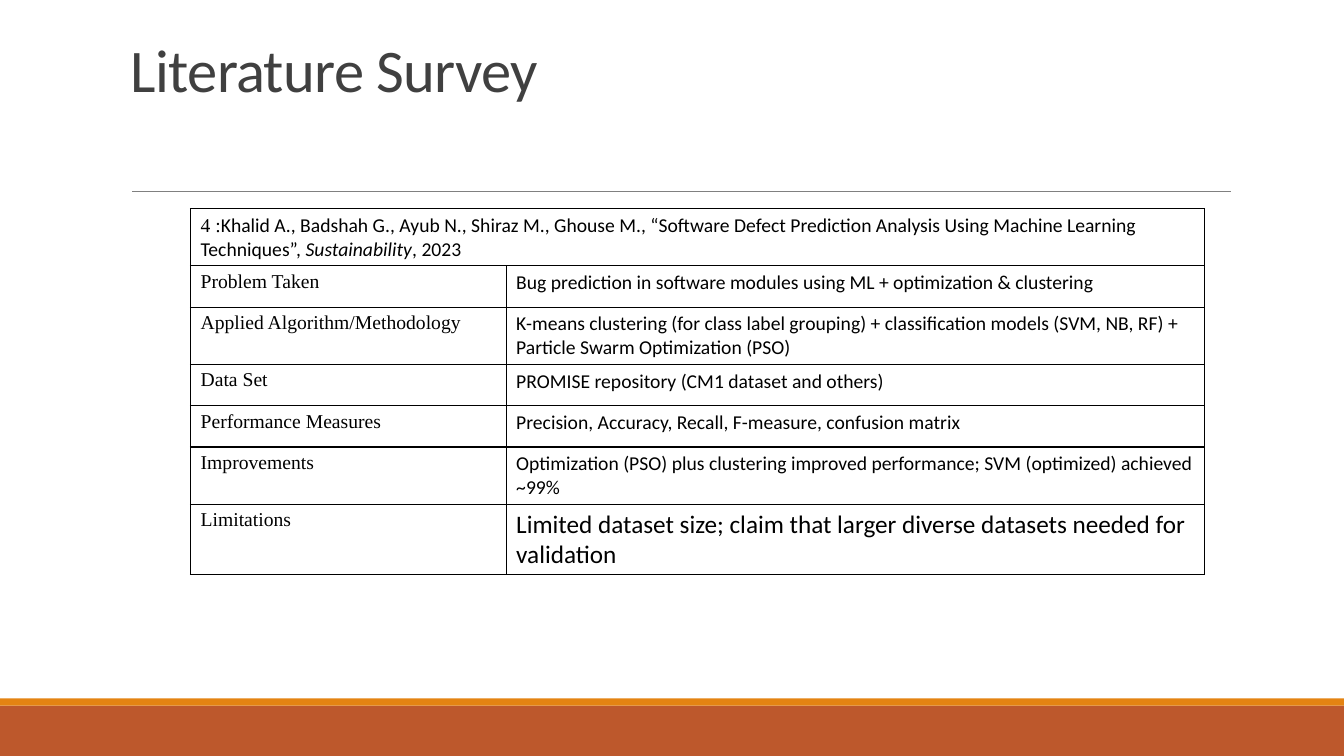
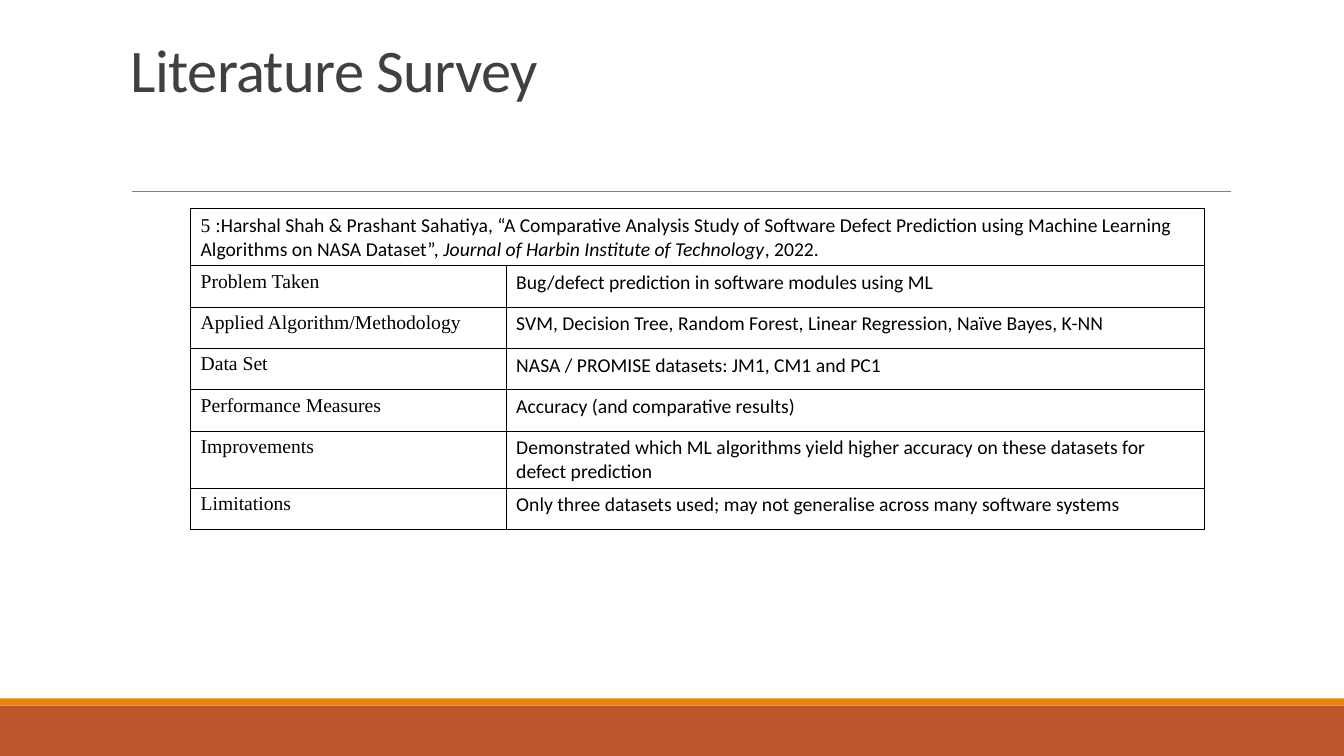
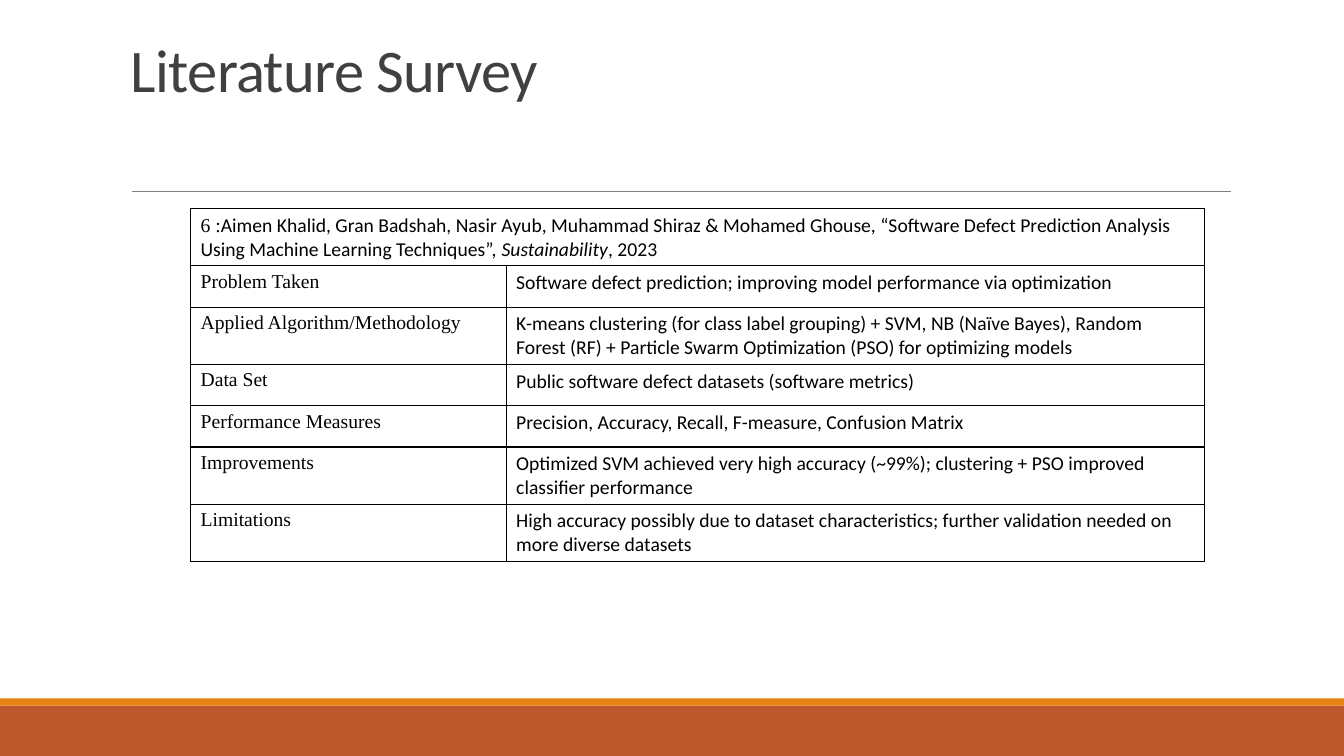
from lxml import etree
from pptx import Presentation
from pptx.dml.color import RGBColor
from pptx.enum import shapes, text
from pptx.oxml import parse_xml
from pptx.oxml.ns import nsdecls, qn
from pptx.util import Inches, Pt

COLORS = {"band": "BD582C", "stripe": "E48312", "rule": "808080",
          "title": "404040", "ink": "000000"}
SANS, SERIF = "Calibri", "Times New Roman"
WIDTH, HEIGHT = 13.33, 7.5
ROW_HEIGHT = 0.41
COLUMNS = (3.13, 6.93)
LABELS = ("Problem Taken", "Applied Algorithm/Methodology", "Data Set",
          "Performance Measures", "Improvements", "Limitations")

PAPERS = [
    {"citation": ("4 :", "Khalid A., Badshah G., Ayub N., Shiraz M., Ghouse M., “Software Defect "
                  "Prediction Analysis Using Machine Learning Techniques”, ",
                  "Sustainability", ", 2023"),
     "findings": (
         "Bug prediction in software modules using ML + optimization & clustering",
         "K-means clustering (for class label grouping) + classification models "
         "(SVM, NB, RF) + Particle Swarm Optimization (PSO)",
         "PROMISE repository (CM1 dataset and others)",
         "Precision, Accuracy, Recall, F-measure, confusion matrix",
         "Optimization (PSO) plus clustering improved performance; "
         "SVM (optimized) achieved ~99%",
         "Limited dataset size; claim that larger diverse datasets needed for validation"),
     "last_size": 18},
    {"citation": ("5 :", "Harshal Shah & Prashant Sahatiya, “A Comparative Analysis Study of Software "
                  "Defect Prediction using Machine Learning Algorithms on NASA Dataset”, ",
                  "Journal of Harbin Institute of Technology", ", 2022."),
     "findings": (
         "Bug/defect prediction in software modules using ML",
         "SVM, Decision Tree, Random Forest, Linear Regression, Naïve Bayes, K-NN",
         "NASA / PROMISE datasets: JM1, CM1 and PC1",
         "Accuracy (and comparative results)",
         "Demonstrated which ML algorithms yield higher accuracy on these datasets "
         "for defect prediction",
         "Only three datasets used; may not generalise across many software systems")},
    {"citation": ("6 :", "Aimen Khalid, Gran Badshah, Nasir Ayub, Muhammad Shiraz & Mohamed Ghouse, "
                  "“Software Defect Prediction Analysis Using Machine Learning Techniques”, ",
                  "Sustainability", ", 2023"),
     "findings": (
         "Software defect prediction; improving model performance via optimization",
         "K-means clustering (for class label grouping) + SVM, NB (Naïve Bayes), "
         "Random Forest (RF) + Particle Swarm Optimization (PSO) for optimizing models",
         "Public software defect datasets (software metrics)",
         "Precision, Accuracy, Recall, F-measure, Confusion Matrix",
         "Optimized SVM achieved very high accuracy (~99%); clustering + PSO improved "
         "classifier performance",
         "High accuracy possibly due to dataset characteristics; further validation "
         "needed on more diverse datasets")},
]


def rgb(name):
    return RGBColor.from_string(COLORS[name])


def style_run(r, font, size=14, color="ink", italic=False):
    r.font.name = font
    r.font.size = Pt(size)
    r.font.color.rgb = rgb(color)
    r.font.italic = italic


def add_band(s, top, height, color):
    sp = s.shapes.add_shape(shapes.MSO_SHAPE.RECTANGLE, 0, Inches(top),
                            Inches(WIDTH), Inches(height))
    sp.shadow.inherit = False
    sp.fill.solid()
    sp.fill.fore_color.rgb = rgb(color)
    sp.line.fill.background()


def add_rule(s, left, top, width):
    line = s.shapes.add_connector(shapes.MSO_CONNECTOR.STRAIGHT, Inches(left), Inches(top),
                                  Inches(left + width), Inches(top))
    line.line.color.rgb = rgb("rule")
    line.line.width = Pt(0.5)
    etree.SubElement(line._element.spPr, qn("a:effectLst"))


def add_title(s, left, top, width, height, title):
    tf = s.shapes.add_textbox(Inches(left), Inches(top), Inches(width), Inches(height)).text_frame
    tf.word_wrap = True
    tf.vertical_anchor = text.MSO_ANCHOR.BOTTOM
    p = tf.paragraphs[0]
    p.text = title
    p.line_spacing = 0.85
    r = p.runs[0]
    style_run(r, SANS, 43.2, "title")
    r._r.get_or_add_rPr().set("spc", "-50")


def style_cell(cell):
    """Give the cell black borders on all sides and no fill."""
    tcPr = cell._tc.get_or_add_tcPr()
    for side in "LRTB":
        tcPr.append(parse_xml(
            f'<a:ln{side} {nsdecls("a")} w="{Pt(1)}"><a:solidFill>'
            f'<a:srgbClr val="{COLORS["ink"]}"/></a:solidFill></a:ln{side}>'))
    cell.fill.background()


def fill_cell(cell, content, font, size=14):
    p = cell.text_frame.paragraphs[0]
    p.text = content
    style_run(p.runs[0], font, size)


def add_paper_table(s, left, top, citation, findings, last_size=14):
    count = len(LABELS) + 1
    frame = s.shapes.add_table(count, len(COLUMNS), Inches(left), Inches(top),
                               Inches(sum(COLUMNS)), Inches(ROW_HEIGHT * count))
    table = frame.table
    table.first_row = table.horz_banding = False
    for column, width in zip(table.columns, COLUMNS):
        column.width = Inches(width)
    for row in table.rows:
        row.height = Inches(ROW_HEIGHT)
        for cell in row.cells:
            style_cell(cell)

    head = table.cell(0, 0)
    head.merge(table.cell(0, 1))
    p = head.text_frame.paragraphs[0]
    number, reference, journal, year = citation
    for part, font, italic in ((number, SERIF, False), (reference, SANS, False),
                               (journal, SANS, True), (year, SANS, False)):
        r = p.add_run()
        r.text = part
        style_run(r, font, italic=italic)

    for i, (label, finding) in enumerate(zip(LABELS, findings), 1):
        fill_cell(table.cell(i, 0), label, SERIF)
        fill_cell(table.cell(i, 1), finding, SANS, last_size if i == len(LABELS) else 14)
    if last_size != 14:
        table.cell(count - 1, 1).vertical_anchor = text.MSO_ANCHOR.MIDDLE


def add_survey_slide(prs, paper):
    s = prs.slides.add_slide(prs.slide_layouts[6])
    add_band(s, 7, 0.5, "band")
    add_band(s, 6.93, 0.07, "stripe")
    add_rule(s, 1.31, 1.9, 10.9)
    add_title(s, 1.2, 0.31, 11, 0.78, "Literature Survey")
    add_paper_table(s, 1.89, 2.07, **paper)


def main():
    prs = Presentation()
    prs.slide_width, prs.slide_height = Inches(WIDTH), Inches(HEIGHT)
    for paper in PAPERS:
        add_survey_slide(prs, paper)
    prs.save("out.pptx")


if __name__ == "__main__":
    main()
